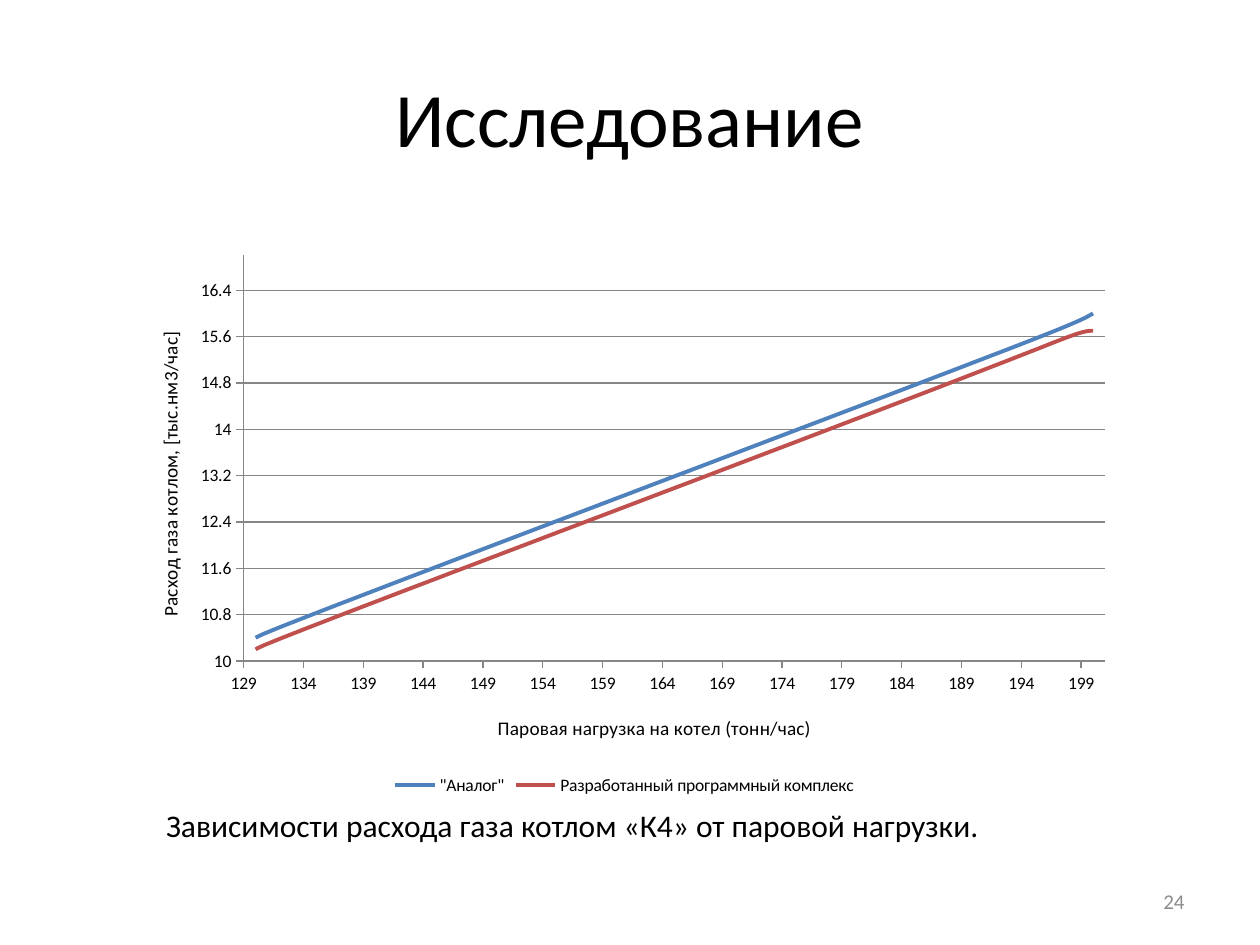
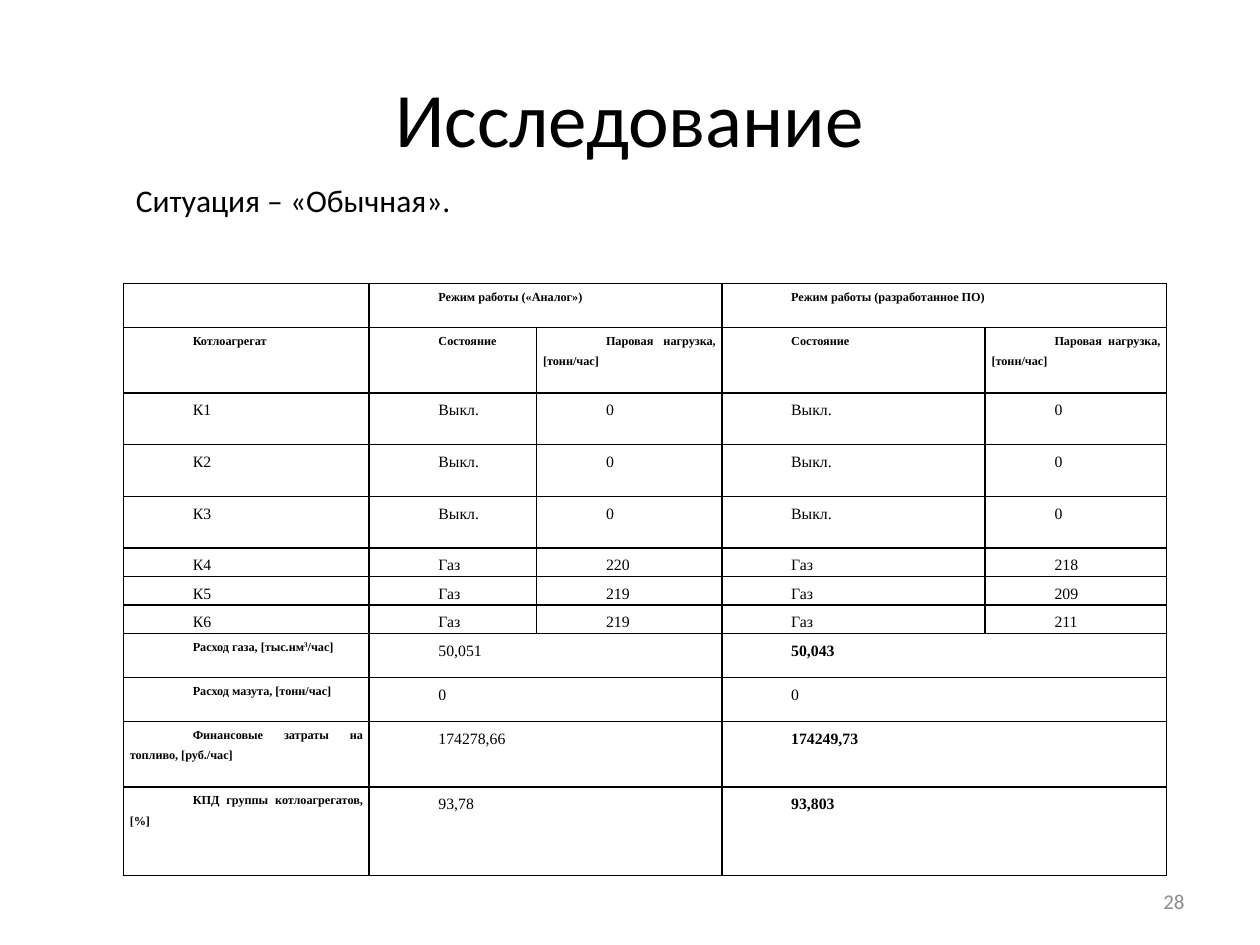
from dataclasses import dataclass

from lxml import etree
from pptx import Presentation
from pptx.chart.data import XyChartData
from pptx.dml.color import RGBColor
from pptx.enum.chart import XL_CHART_TYPE, XL_LEGEND_POSITION, XL_TICK_MARK
from pptx.enum.text import MSO_ANCHOR, PP_ALIGN
from pptx.oxml.ns import qn
from pptx.util import Inches, Pt

LEFT, CENTER, RIGHT, JUSTIFY = PP_ALIGN.LEFT, PP_ALIGN.CENTER, PP_ALIGN.RIGHT, PP_ALIGN.JUSTIFY
TOP, MIDDLE = MSO_ANCHOR.TOP, MSO_ANCHOR.MIDDLE
SMOOTH_SCATTER = XL_CHART_TYPE.XY_SCATTER_SMOOTH_NO_MARKERS
LEGEND_BOTTOM = XL_LEGEND_POSITION.BOTTOM
TICK_OUTSIDE, TICK_NONE = XL_TICK_MARK.OUTSIDE, XL_TICK_MARK.NONE


@dataclass(frozen=True)
class Theme:
    """Colours, fonts and type sizes shared by the slides."""
    ink: str = "000000"
    page_number: str = "8C8C8C"
    grid: str = "868686"
    series: tuple = ("4F81BD", "C0504D")
    font: str = "Calibri"
    table_font: str = "Times New Roman"
    title_size: int = 44
    body_size: int = 18
    number_size: int = 12
    axis_title_size: int = 11
    chart_size: int = 10
    cell_size: int = 9
    label_size: int = 7


THEME = Theme()
TITLE = "Исследование"

LOADS = (130, 141, 183, 198, 200)
GAS_CURVES = {
    '"Аналог"': (10.4, 11.3, 14.6, 15.8, 16),
    "Разработанный программный комплекс": (10.2, 11.1, 14.4, 15.6, 15.7),
}

COLUMN_WIDTHS = (1.95, 1.33, 1.47, 2.09, 1.44)
ROW_HEIGHTS = (0.35, 0.52, 0.41, 0.41, 0.41, 0.21, 0.21, 0.21, 0.35, 0.35, 0.52, 0.7)
MODE_COLUMNS = (1, 3)
MODES = ("Режим работы («Аналог»)", "Режим работы (разработанное ПО)")
MODE_HEADINGS = ("Состояние", "Паровая нагрузка, [тонн/час]")
BOILERS = (
    ("К1", "Выкл.", "0", "Выкл.", "0"),
    ("К2", "Выкл.", "0", "Выкл.", "0"),
    ("К3", "Выкл.", "0", "Выкл.", "0"),
    ("К4", "Газ", "220", "Газ", "218"),
    ("К5", "Газ", "219", "Газ", "209"),
    ("К6", "Газ", "219", "Газ", "211"),
)
TOTALS = (
    (("Расход газа, [тыс.нм", "3", "/час]"), "50,051", "50,043", True),
    (("Расход мазута, [тонн/час]",), "0", "0", False),
    (("Финансовые затраты на топливо, [руб./час]",), "174278,66", "174249,73", True),
    (("КПД группы котлоагрегатов, [%]",), "93,78", "93,803", True),
)


def style_font(font, size, color=THEME.ink, name=THEME.font, bold=False):
    """Set face, size, colour and weight of a font."""
    font.name, font.size, font.bold = name, Pt(size), bold
    font.color.rgb = RGBColor.from_string(color)


def add_text(slide, text, box, size, color=THEME.ink, align=LEFT, anchor=TOP):
    """Add a one-paragraph text box."""
    frame = slide.shapes.add_textbox(*map(Inches, box)).text_frame
    frame.word_wrap = True
    frame.vertical_anchor = anchor
    paragraph = frame.paragraphs[0]
    paragraph.alignment = align
    run = paragraph.add_run()
    run.text = text
    style_font(run.font, size, color)


def add_base_slide(presentation, number):
    """Add a blank slide with the shared title and page number."""
    slide = presentation.slides.add_slide(presentation.slide_layouts[6])
    add_text(slide, str(number), (7.17, 6.95, 2.33, 0.4), THEME.number_size,
             THEME.page_number, RIGHT, MIDDLE)
    add_text(slide, TITLE, (0.5, 0.3, 9, 1.25), THEME.title_size, align=CENTER, anchor=MIDDLE)
    return slide


def place_chart_part(parent, index, **fractions):
    """Give a chart part a manual layout in fractions of the chart."""
    for old_layout in parent.findall(qn("c:layout")):
        parent.remove(old_layout)
    layout = etree.Element(qn("c:layout"))
    manual = etree.SubElement(layout, qn("c:manualLayout"))
    if "w" in fractions:
        etree.SubElement(manual, qn("c:layoutTarget")).set("val", "inner")
    for axis in "xy":
        etree.SubElement(manual, qn(f"c:{axis}Mode")).set("val", "edge")
    for name, fraction in fractions.items():
        etree.SubElement(manual, qn(f"c:{name}")).set("val", str(fraction))
    parent.insert(index, layout)


def style_axis(axis, title, limits, step, x, y):
    """Set scale, ticks, line and placed title of a chart axis."""
    axis.minimum_scale, axis.maximum_scale = limits
    axis.major_unit = step
    axis.major_tick_mark, axis.minor_tick_mark = TICK_OUTSIDE, TICK_NONE
    axis.has_major_gridlines = False
    axis.tick_labels.number_format = "General"
    axis.tick_labels.number_format_is_linked = False
    style_font(axis.tick_labels.font, THEME.chart_size)
    axis.format.line.color.rgb = RGBColor.from_string(THEME.grid)
    axis.format.line.width = Pt(0.75)
    run = axis.axis_title.text_frame.paragraphs[0].add_run()
    run.text = title
    style_font(run.font, THEME.axis_title_size)
    place_chart_part(axis.axis_title._element, 1, x=x, y=y)


def add_gas_chart(slide):
    """Add the smooth scatter chart of gas use against steam load."""
    data = XyChartData()
    for name, values in GAS_CURVES.items():
        series = data.add_series(name)
        for load, gas in zip(LOADS, values):
            series.add_data_point(load, gas)
    box = map(Inches, (0.98, 1.94, 7.95, 4.41))
    chart = slide.shapes.add_chart(SMOOTH_SCATTER, *box, data).chart
    chart.has_title = False
    style_font(chart.font, THEME.chart_size)
    chart.has_legend = True
    chart.legend.position = LEGEND_BOTTOM
    chart.legend.include_in_layout = False
    style_font(chart.legend.font, THEME.chart_size)
    style_axis(chart.category_axis, "Паровая нагрузка на котел (тонн/час)", (129, 201), 5, 0.37, 0.84)
    style_axis(chart.value_axis, "Расход газа котлом, [тыс.нм3/час]", (10, 17), 0.8, 0.03, 0.15)
    grid_line = chart.value_axis.major_gridlines.format.line
    grid_line.color.rgb = RGBColor.from_string(THEME.grid)
    grid_line.width = Pt(0.75)
    chart.plots[0].vary_by_categories = False
    for series, color in zip(chart.plots[0].series, THEME.series):
        series.format.line.color.rgb = RGBColor.from_string(color)
        series.format.line.width = Pt(2.25)
        series._element.get_or_add_smooth().val = True
    plot_area = chart._chartSpace.find(f".//{qn('c:plotArea')}")
    place_chart_part(plot_area, 0, x=0.12, y=0.02, w=0.86, h=0.73)


def format_cell(cell):
    """Clear the fill, set the insets and draw all four borders."""
    cell.margin_left = cell.margin_right = Inches(0.05)
    cell.margin_top = cell.margin_bottom = 0
    cell.fill.background()
    properties = cell._tc.get_or_add_tcPr()
    for index, side in enumerate("LRTB"):
        line = etree.Element(qn(f"a:ln{side}"), w=str(Pt(1)))
        fill = etree.SubElement(line, qn("a:solidFill"))
        etree.SubElement(fill, qn("a:srgbClr")).set("val", THEME.ink)
        properties.insert(index, line)


def write_cell(cell, parts, size=THEME.cell_size, bold=False, align=JUSTIFY):
    """Write text parts into a cell, with every second part raised."""
    paragraph = cell.text_frame.paragraphs[0]
    paragraph.alignment = align
    paragraph.line_spacing = 1.5
    paragraph.space_after = Pt(6)
    paragraph._p.get_or_add_pPr().set("indent", str(Inches(0.5)))
    for index, part in enumerate(parts):
        run = paragraph.add_run()
        run.text = part
        style_font(run.font, size, name=THEME.table_font, bold=bold)
        if index % 2:
            run._r.get_or_add_rPr().set("baseline", "30000")


def write_label(cell, *parts):
    """Write a small bold heading into a cell."""
    write_cell(cell, parts, THEME.label_size, True)


def add_mode_table(slide):
    """Add the table that compares the two boiler operating modes."""
    box = map(Inches, (0.98, 2.25, sum(COLUMN_WIDTHS), sum(ROW_HEIGHTS)))
    table = slide.shapes.add_table(len(ROW_HEIGHTS), len(COLUMN_WIDTHS), *box).table
    table.first_row = table.horz_banding = False
    for column, width in zip(table.columns, COLUMN_WIDTHS):
        column.width = Inches(width)
    for row, height in zip(table.rows, ROW_HEIGHTS):
        row.height = Inches(height)
    for cell in table.iter_cells():
        format_cell(cell)

    first_total = 2 + len(BOILERS)
    for row in (0, *range(first_total, len(ROW_HEIGHTS))):
        for column in MODE_COLUMNS:
            table.cell(row, column).merge(table.cell(row, column + 1))

    write_label(table.cell(0, 0))
    for column, mode in zip(MODE_COLUMNS, MODES):
        write_label(table.cell(0, column), mode)
    for column, heading in enumerate(("Котлоагрегат", *MODE_HEADINGS * 2)):
        write_label(table.cell(1, column), heading)
    for row, values in enumerate(BOILERS, 2):
        for column, value in enumerate(values):
            write_cell(table.cell(row, column), (value,))
    for row, (label, planned, developed, better) in enumerate(TOTALS, first_total):
        write_label(table.cell(row, 0), *label)
        write_cell(table.cell(row, 1), (planned,), align=LEFT)
        write_cell(table.cell(row, 3), (developed,), bold=better, align=LEFT)


def main():
    """Build both slides and save the presentation."""
    presentation = Presentation()
    presentation.slide_width, presentation.slide_height = Inches(10), Inches(7.5)

    chart_slide = add_base_slide(presentation, 24)
    add_gas_chart(chart_slide)
    add_text(chart_slide, "Зависимости расхода газа котлом «К4» от паровой нагрузки.",
             (1.22, 6.35, 7.48, 0.4), THEME.body_size)

    table_slide = add_base_slide(presentation, 28)
    add_mode_table(table_slide)
    add_text(table_slide, "Ситуация – «Обычная».", (0.98, 1.39, 8.27, 0.4), THEME.body_size)

    presentation.save("out.pptx")


if __name__ == "__main__":
    main()
